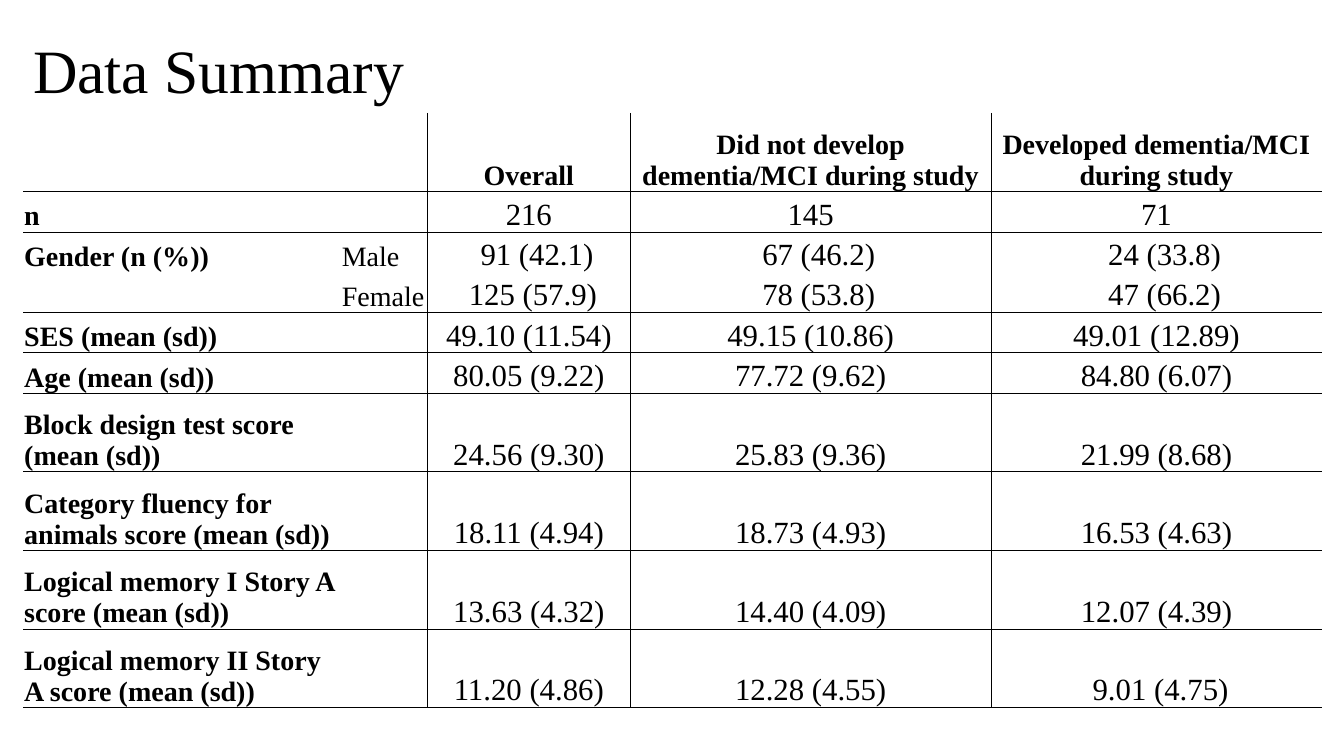
from dataclasses import dataclass

from lxml import etree
from pptx import Presentation
from pptx.dml.color import RGBColor
from pptx.enum.text import MSO_ANCHOR, PP_ALIGN
from pptx.oxml.ns import qn
from pptx.util import Inches, Pt

LEFT, CENTER = PP_ALIGN.LEFT, PP_ALIGN.CENTER
MIDDLE, BOTTOM = MSO_ANCHOR.MIDDLE, MSO_ANCHOR.BOTTOM


@dataclass(frozen=True)
class Theme:
    """Colours, font and type sizes of the slide."""
    ink: str = "000000"
    font: str = "Times New Roman"
    title: int = 44
    label: int = 20
    value: int = 22
    rule: float = 0.5


@dataclass(frozen=True)
class Row:
    """One table row; indents shift the values in inches."""
    label: str
    group: str
    values: tuple[str, str, str]
    height: float = 0.4
    indents: tuple[float, float, float] = (0, 0, 0)
    ruled: bool = True


THEME = Theme()
TALL = 0.78
INSET = 0.01
SPACE = 0.08
COLUMNS = (3.15, 0.86, 2.01, 3.58, 3.28)
ROWS = (
    Row("", "", ("Overall", "Did not develop dementia/MCI during study",
                 "Developed dementia/MCI during study"), TALL),
    Row("n", "", ("216", "145", "71")),
    Row("Gender (n (%))", "Male", ("91 (42.1)", "67 (46.2)", "24 (33.8)"),
        indents=(2 * SPACE, 2 * SPACE, 2 * SPACE), ruled=False),
    Row("", "Female", ("125 (57.9)", "78 (53.8)", "47 (66.2)"),
        indents=(SPACE, 2 * SPACE, 2 * SPACE)),
    Row("SES (mean (sd))", "", ("49.10 (11.54)", "49.15 (10.86)", "49.01 (12.89)")),
    Row("Age (mean (sd))", "", ("80.05 (9.22)", "77.72 (9.62)", "84.80 (6.07)")),
    Row("Block design test score (mean (sd))", "",
        ("24.56 (9.30)", "25.83 (9.36)", "21.99 (8.68)"), TALL),
    Row("Category fluency for animals score (mean (sd))", "",
        ("18.11 (4.94)", "18.73 (4.93)", "16.53 (4.63)"), TALL),
    Row("Logical memory I Story A score (mean (sd))", "",
        ("13.63 (4.32)", "14.40 (4.09)", "12.07 (4.39)"), TALL),
    Row("Logical memory II Story A score (mean (sd))", "",
        ("11.20 (4.86)", "12.28 (4.55)", "9.01 (4.75)"), TALL,
        indents=(0, 0, SPACE)),
)


def write(tf, text: str, *, size: float, bold: bool = False, align=LEFT,
          spacing: float = 1.0) -> None:
    """Write one formatted paragraph into a text frame."""
    tf.word_wrap = True
    p = tf.paragraphs[0]
    p.alignment, p.line_spacing = align, spacing
    r = p.add_run()
    r.text = text
    r.font.name, r.font.size, r.font.bold = THEME.font, Pt(size), bold
    r.font.color.rgb = RGBColor.from_string(THEME.ink)


def set_borders(cell, **sides: bool) -> None:
    """Draw or clear the L, R, T and B borders of a cell."""
    tcPr = cell._tc.get_or_add_tcPr()
    for side, drawn in sides.items():
        ln = etree.SubElement(tcPr, qn(f"a:ln{side}"), w=str(Pt(THEME.rule)))
        if drawn:
            fill = etree.SubElement(ln, qn("a:solidFill"))
            etree.SubElement(fill, qn("a:srgbClr"), val=THEME.ink)
        else:
            etree.SubElement(ln, qn("a:noFill"))


def fill_cell(cell, text: str, *, indent: float = 0, **fmt) -> None:
    """Set the fill, insets and text of a cell."""
    cell.fill.background()
    cell.vertical_anchor = BOTTOM
    cell.margin_left = Inches(INSET + indent)
    cell.margin_right = cell.margin_top = Inches(INSET)
    cell.margin_bottom = 0
    if text:
        write(cell.text_frame, text, **fmt)


def add_title(s, text: str) -> None:
    """Add the slide title."""
    tb = s.shapes.add_textbox(Inches(0.23), 0, Inches(11.5), Inches(1.45))
    tb.text_frame.vertical_anchor = MIDDLE
    write(tb.text_frame, text, size=THEME.title, spacing=0.9)


def add_summary(s) -> None:
    """Add the summary table."""
    width, height = sum(COLUMNS), sum(row.height for row in ROWS)
    table = s.shapes.add_table(len(ROWS), len(COLUMNS), Inches(0.23), Inches(1.12),
                               Inches(width), Inches(height)).table
    table.first_row = table.horz_banding = False
    for column, w in zip(table.columns, COLUMNS):
        column.width = Inches(w)
    for i, row in enumerate(ROWS):
        table.rows[i].height = Inches(row.height)
        texts = (row.label, row.group, *row.values)
        indents = (0, 0, *row.indents)
        for j, (text, indent) in enumerate(zip(texts, indents)):
            cell = table.cell(i, j)
            is_value = i > 0 and j > 1
            set_borders(cell, L=j > 1, R=0 < j < len(COLUMNS) - 1,
                        T=i > 0 and ROWS[i - 1].ruled, B=row.ruled)
            fill_cell(cell, text, indent=indent,
                      size=THEME.value if is_value else THEME.label,
                      bold=i == 0 or j == 0, align=CENTER if j > 1 else LEFT)


def main() -> None:
    """Build and save the slide."""
    prs = Presentation()
    prs.slide_width, prs.slide_height = Inches(13.33), Inches(7.5)
    s = prs.slides.add_slide(prs.slide_layouts[6])
    add_title(s, "Data Summary")
    add_summary(s)
    prs.save("out.pptx")


main()
